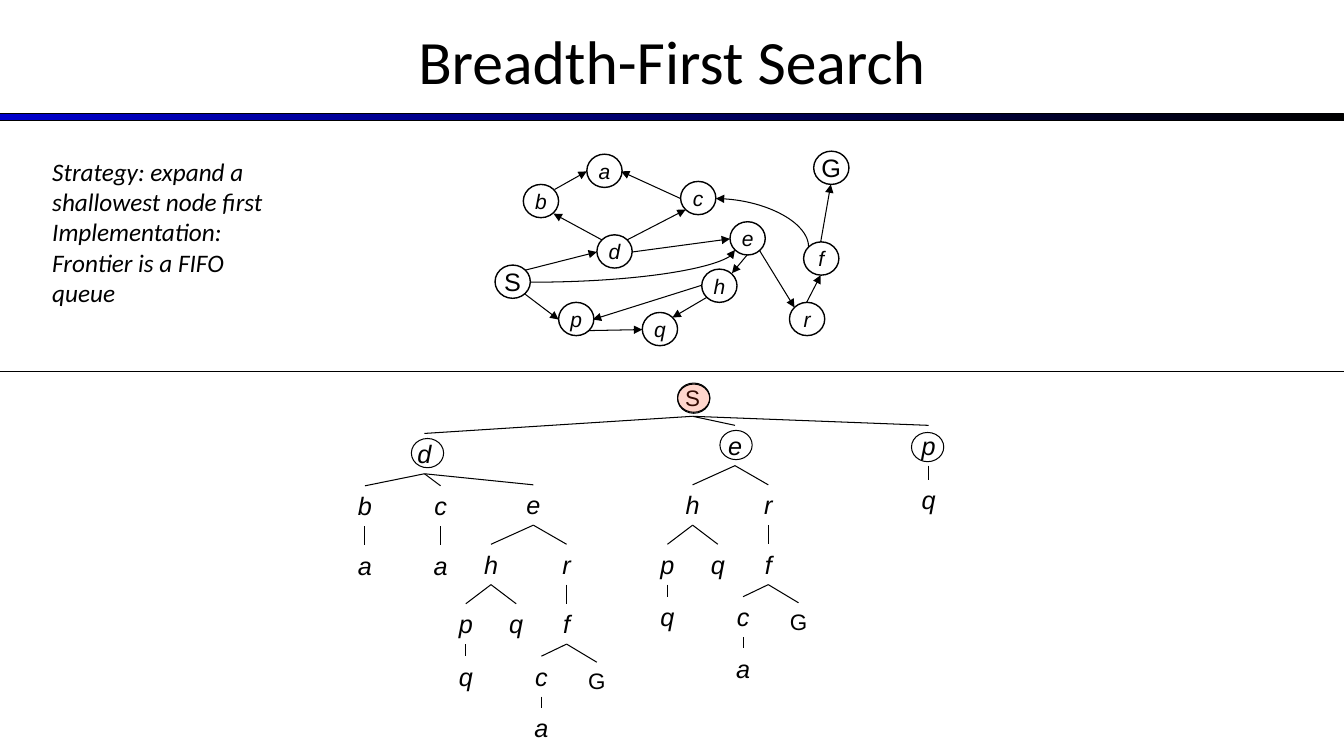
import pptx
import pptx.util
import pptx.dml.color
import pptx.enum.shapes
import pptx.enum.text
import lxml.etree
import pptx.oxml.ns

Inches = pptx.util.Inches
Pt = pptx.util.Pt
RGBColor = pptx.dml.color.RGBColor
SHAPE = pptx.enum.shapes.MSO_SHAPE
CONNECTOR = pptx.enum.shapes.MSO_CONNECTOR
ALIGN = pptx.enum.text.PP_ALIGN
ANCHOR = pptx.enum.text.MSO_ANCHOR
AUTO_SIZE = pptx.enum.text.MSO_AUTO_SIZE
qn = pptx.oxml.ns.qn

BLACK = RGBColor(0x00, 0x00, 0x00)
BLUE = RGBColor(0x00, 0x00, 0xCC)
RED = RGBColor(0xFF, 0x33, 0x00)

prs = pptx.Presentation()
prs.slide_width = Inches(13.33)
prs.slide_height = Inches(7.5)
s = prs.slides.add_slide(prs.slide_layouts[5])


def add_text(p, text, size, font="Arial", italic=False):
    r = p.add_run()
    r.text = text
    r.font.name = font
    r.font.size = Pt(size)
    r.font.italic = italic
    r.font.color.rgb = BLACK


def add_line(x1, y1, x2, y2, arrow=None, kind=CONNECTOR.STRAIGHT):
    c = s.shapes.add_connector(kind, Inches(x1), Inches(y1), Inches(x2), Inches(y2))
    c.line.color.rgb = BLACK
    c.line.width = Pt(0.75)
    sp_pr = c._element.spPr
    if kind == CONNECTOR.CURVE:
        sp_pr.find(qn("a:prstGeom")).set("prst", "curvedConnector2")
    if arrow:
        lxml.etree.SubElement(c.line._get_or_add_ln(), qn(arrow)).set("type", "triangle")
    lxml.etree.SubElement(sp_pr, qn("a:effectLst"))


title = s.shapes.title
title.left, title.top = Inches(0), Inches(-0.03)
title.width, title.height = Inches(13.33), Inches(1.25)
title.text_frame.vertical_anchor = ANCHOR.MIDDLE
p = title.text_frame.paragraphs[0]
p.alignment = ALIGN.CENTER
add_text(p, "Breadth-First Search", 44, "Calibri")

bar = s.shapes.add_shape(SHAPE.RECTANGLE, Inches(0), Inches(1.13), Inches(13.33), Inches(0.07))
bar.shadow.inherit = False
bar.fill.gradient()
bar.fill.gradient_angle = 0
for stop, color, position in zip(bar.fill.gradient_stops, (BLUE, BLACK), (0, 1)):
    stop.color.rgb = color
    stop.position = position
bar.line.color.rgb = BLACK
bar.line.width = Pt(0.75)

# name: (centre x, top, parent)
tree = {
    "S": (6.87, 3.76, None),
    "d": (4.21, 4.30, "S"),
    "e": (7.29, 4.22, "S"),
    "p": (9.21, 4.22, "S"),
    "db": (3.62, 4.82, "d"),
    "dc": (4.37, 4.82, "d"),
    "de": (5.29, 4.81, "d"),
    "dba": (3.62, 5.41, "db"),
    "dca": (4.37, 5.41, "dc"),
    "pq": (9.21, 4.76, "p"),
}
for root, x, y in (("de", 5.29, 4.81), ("e", 7.29, 4.22)):
    for path_below, dx, dy in (
        ("h", -0.42, 0.59), ("r", 0.33, 0.59),
        ("hp", -0.67, 1.18), ("hq", -0.17, 1.18), ("rf", 0.33, 1.18),
        ("hpq", -0.67, 1.70), ("rfc", 0.08, 1.70), ("rfG", 0.63, 1.76),
        ("rfca", 0.08, 2.21),
    ):
        name = root + path_below
        tree[name] = (x + dx, y + dy, name[:-1])

for name, (x, y, parent) in tree.items():
    letter = name[-1]
    is_end = letter in "SG"
    width, height = (0.84, 0.37) if is_end else (0.42, 0.4)
    box = s.shapes.add_textbox(Inches(x - width / 2), Inches(y), Inches(width), Inches(height))
    tf = box.text_frame
    tf.word_wrap = True
    tf.auto_size = AUTO_SIZE.SHAPE_TO_FIT_TEXT
    p = tf.paragraphs[0]
    p.alignment = ALIGN.CENTER
    add_text(p, letter, 16 if is_end else 18, italic=not is_end)
    if parent:
        parent_x, parent_y, _ = tree[parent]
        parent_height = 0.37 if parent == "S" else 0.4
        add_line(parent_x, parent_y + parent_height, x, y)

graph_nodes = (
    ("S", 4.91, 2.63), ("G", 8.07, 1.5), ("d", 5.92, 2.33), ("b", 5.19, 1.83),
    ("p", 5.54, 3), ("q", 6.37, 3.1), ("c", 6.75, 1.8), ("e", 7.24, 2.2),
    ("h", 6.96, 2.67), ("a", 5.82, 1.53), ("f", 7.97, 2.4), ("r", 7.83, 3),
)
for letter, x, y in graph_nodes:
    node = s.shapes.add_shape(
        SHAPE.FLOWCHART_CONNECTOR, Inches(x), Inches(y), Inches(0.35), Inches(0.33))
    node.shadow.inherit = False
    node.fill.background()
    node.line.color.rgb = BLACK
    node.line.width = Pt(1)
    tf = node.text_frame
    tf.word_wrap = False
    tf.vertical_anchor = ANCHOR.MIDDLE
    p = tf.paragraphs[0]
    p.alignment = ALIGN.CENTER
    is_end = letter in "SG"
    add_text(p, letter, 18 if is_end else 15, italic=not is_end)

graph_edges = (
    (5.21, 2.92, 5.54, 3.17), (5.83, 3.28, 6.37, 3.27), (7.01, 2.95, 6.67, 3.15),
    (6.96, 2.83, 5.88, 3.17), (7.41, 2.53, 7.26, 2.71), (7.53, 2.48, 7.88, 3.05),
    (8, 3, 8.14, 2.73), (8.14, 2.4, 8.24, 1.83), (5.21, 2.68, 5.92, 2.5),
    (5.97, 2.38, 5.49, 2.12), (5.5, 1.88, 5.82, 1.7), (6.75, 1.97, 6.16, 1.7),
    (6.22, 2.38, 6.8, 2.08), (6.27, 2.5, 7.24, 2.37),
)
for edge in graph_edges:
    add_line(*edge, arrow="a:tailEnd")
add_line(7.1, 1.97, 8.02, 2.45, "a:headEnd", CONNECTOR.CURVE)
add_line(5.26, 2.8, 7.29, 2.48, "a:tailEnd", CONNECTOR.CURVE)

add_line(0, 3.69, 13.33, 3.69)

for x, y, filled in (
    (6.72, 3.8, True), (6.72, 3.81, False), (4.08, 4.35, False),
    (7.14, 4.27, False), (9.04, 4.29, False),
):
    ring = s.shapes.add_shape(SHAPE.OVAL, Inches(x), Inches(y), Inches(0.32), Inches(0.29))
    ring.shadow.inherit = False
    ring.line.color.rgb = BLACK
    ring.line.width = Pt(0.75)
    if filled:
        ring.fill.solid()
        ring.fill.fore_color.rgb = RED
        color = ring._element.spPr.find(qn("a:solidFill")).find(qn("a:srgbClr"))
        lxml.etree.SubElement(color, qn("a:alpha")).set("val", "20000")
    else:
        ring.fill.background()

strategy = s.shapes.add_textbox(Inches(0.42), Inches(1.5), Inches(2.5), Inches(1.68))
tf = strategy.text_frame
tf.word_wrap = True
tf.auto_size = AUTO_SIZE.SHAPE_TO_FIT_TEXT
add_text(tf.paragraphs[0], "Strategy: expand a shallowest node first", 18, "Calibri", True)
add_text(tf.add_paragraph(), "Implementation: Frontier is a FIFO queue", 18, "Calibri", True)

prs.save("out.pptx")
